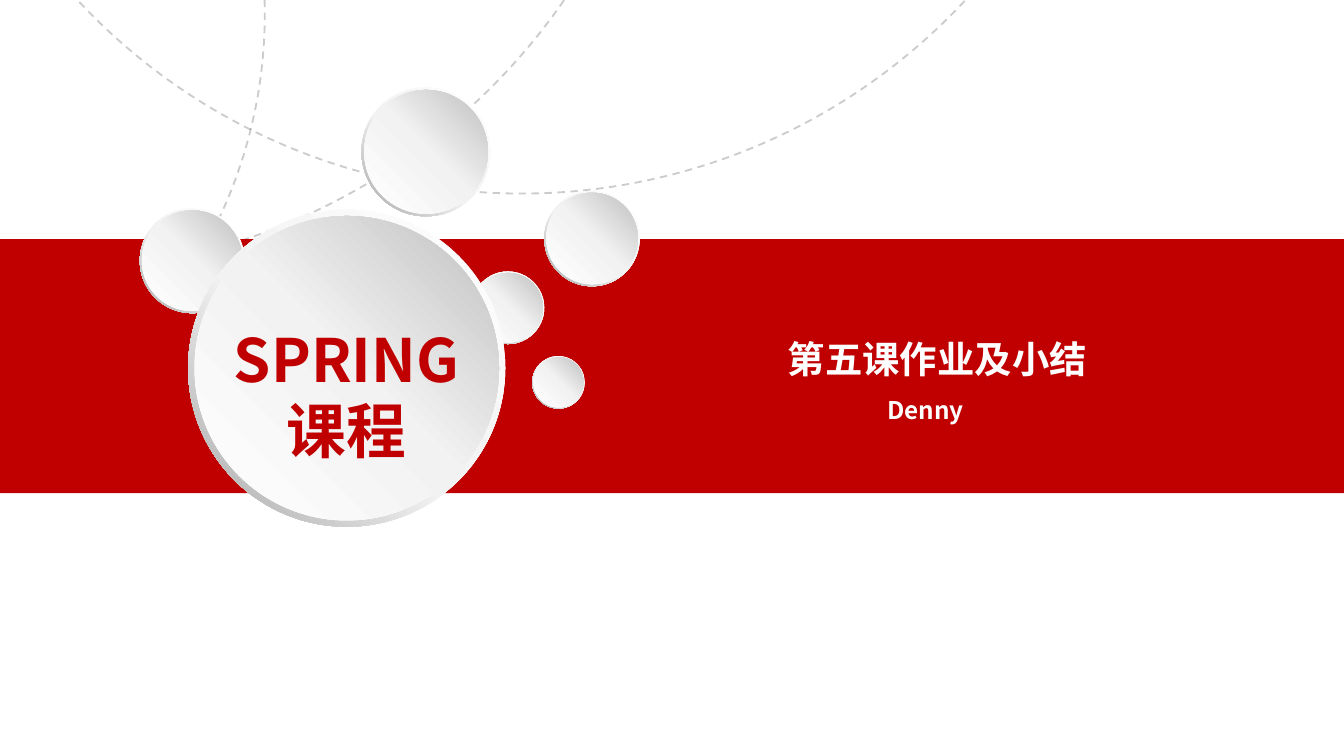
from copy import deepcopy

from lxml import etree
from pptx import Presentation
from pptx.dml.color import RGBColor
from pptx.enum.dml import MSO_LINE
from pptx.enum.shapes import MSO_SHAPE
from pptx.enum.text import MSO_ANCHOR, MSO_AUTO_SIZE, PP_ALIGN
from pptx.oxml.ns import qn
from pptx.util import Inches, Pt

OVAL, DONUT, RECTANGLE = MSO_SHAPE.OVAL, MSO_SHAPE.DONUT, MSO_SHAPE.RECTANGLE
DASH = MSO_LINE.DASH
CENTER, TOP, NO_AUTOFIT = PP_ALIGN.CENTER, MSO_ANCHOR.TOP, MSO_AUTO_SIZE.NONE

FONT = "Noto Sans CJK SC"
COLORS = {"red": "C00000", "white": "FFFFFF", "black": "000000",
          "pale": "F2F2F2", "silver": "BFBFBF", "gray": "A6A6A6"}

COURSE = ("SPRING课程", (1.61, 2.35, 1.94, 1.18), 32, "red")
LESSON = ("第五课作业及小结", (4.38, 2.45, 5.19, 0.44), 20, "white")
AUTHOR = ("Denny", (4.29, 2.89, 5.19, 0.32), 13, "white")

# Circles: left, top, diameter
ORBITS = [(-4.34, -7.35, 9.37), (-5.16, -3.46, 7.13), (-0.63, -7.58, 9.02)]
BUTTONS = [(3.96, 2.65, 0.39), (1.04, 1.55, 0.78), (3.51, 2.02, 0.54),
           (1.4, 1.56, 2.36), (2.69, 0.65, 0.96), (4.05, 1.42, 0.71)]
BAND = (0, 1.78, 10, 1.89)

RIM = 0.049
FACE_SHARE = 0.96  # face diameter as a share of the button
RIM_STOPS = [(0, "white"), (0.55, "pale"), (1, "gray")]
FACE_STOPS = [(0, "white"), (0.51, "pale"), (1, "silver")]
RIM_ANGLE, FACE_ANGLE = 225, 45


def rgb(name):
    return RGBColor.from_string(COLORS[name])


def add_plain(slide, kind, box):
    shape = slide.shapes.add_shape(kind, *map(Inches, box))
    shape.shadow.inherit = False
    shape.line.fill.background()
    return shape


def add_orbit(slide, left, top, size):
    orbit = add_plain(slide, OVAL, (left, top, size, size))
    orbit.fill.background()
    orbit.line.color.rgb = rgb("black")
    orbit.line.width = Pt(1)
    orbit.line.dash_style = DASH
    color = orbit._element.spPr.find(qn("a:ln")).find(".//" + qn("a:srgbClr"))
    etree.SubElement(color, qn("a:alpha"), val="20000")


def fill_gradient(shape, stops, angle):
    """Fill with three stops; the angle runs counter-clockwise."""
    shape.fill.gradient()
    shape.fill.gradient_angle = angle
    stop_list = shape._element.spPr.find(".//" + qn("a:gsLst"))
    stop_list.append(deepcopy(stop_list[-1]))
    for stop, (position, color) in zip(shape.fill.gradient_stops, stops):
        stop.position = position
        stop.color.rgb = rgb(color)


def add_button(slide, left, top, size):
    rim = add_plain(slide, DONUT, (left, top, size, size))
    rim.adjustments[0] = RIM
    fill_gradient(rim, RIM_STOPS, RIM_ANGLE)
    face_size = size * FACE_SHARE
    inset = (size - face_size) / 2
    face = add_plain(slide, OVAL,
                     (left + inset, top + inset, face_size, face_size))
    fill_gradient(face, FACE_STOPS, FACE_ANGLE)


def set_text(holder, text, box, size, color):
    holder.left, holder.top, holder.width, holder.height = map(Inches, box)
    frame = holder.text_frame
    frame.text = text
    frame.word_wrap = True
    frame.auto_size = NO_AUTOFIT
    frame.vertical_anchor = TOP
    paragraph = frame.paragraphs[0]
    paragraph.alignment = CENTER
    paragraph.space_before = Pt(0)
    paragraph.line_spacing = 1
    font = paragraph.runs[0].font
    font.name, font.size, font.bold = FONT, Pt(size), True
    font.color.rgb = rgb(color)
    etree.SubElement(font._element, qn("a:ea"), typeface=FONT)


def main():
    prs = Presentation()
    prs.slide_width = Inches(10)
    prs.slide_height = prs.slide_width * 9 // 16
    slide = prs.slides.add_slide(prs.slide_layouts[0])

    for orbit in ORBITS:
        add_orbit(slide, *orbit)
    band = add_plain(slide, RECTANGLE, BAND)
    band.fill.solid()
    band.fill.fore_color.rgb = rgb("red")
    for button in BUTTONS:
        add_button(slide, *button)

    set_text(slide.shapes.add_textbox(0, 0, 0, 0), *COURSE)
    for holder, content in zip(list(slide.placeholders), (LESSON, AUTHOR)):
        set_text(holder, *content)
        slide.shapes._spTree.append(holder._element)  # in front of the band

    prs.save("out.pptx")


if __name__ == "__main__":
    main()
